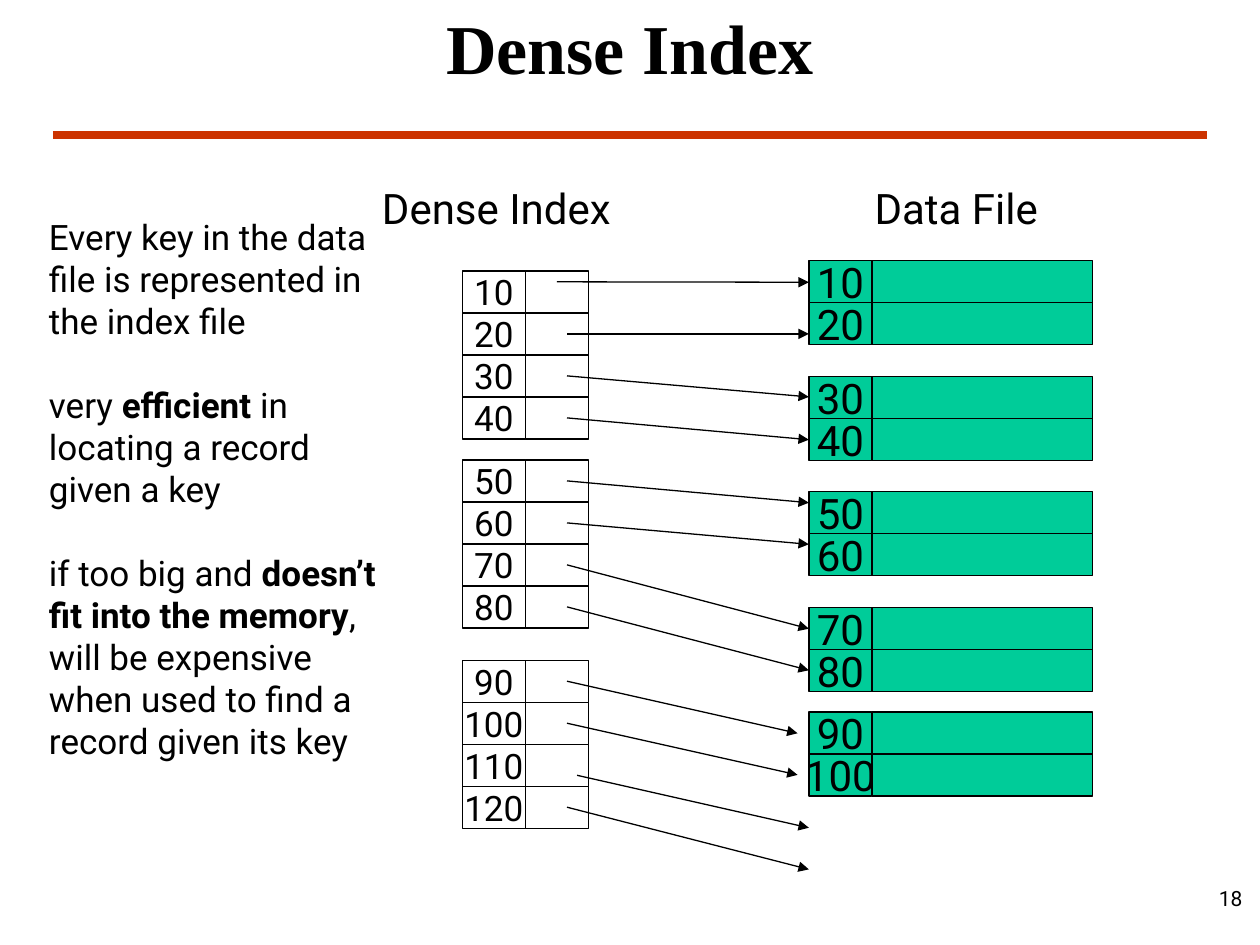
"""Build the Dense Index slide: index blocks pointing into a data file."""
from pptx import Presentation
from pptx.dml.color import RGBColor
from pptx.enum.shapes import MSO_CONNECTOR as Connector, MSO_SHAPE as Shape
from pptx.enum.text import MSO_ANCHOR as Anchor, PP_ALIGN as Align
from pptx.oxml.ns import qn
from pptx.util import Inches, Pt
from lxml.etree import SubElement

BLACK = RGBColor(0x00, 0x00, 0x00)
WHITE = RGBColor(0xFF, 0xFF, 0xFF)
GREEN = RGBColor(0x00, 0xCC, 0x99)
RED = RGBColor(0xCC, 0x33, 0x00)
BODY_FONT, TITLE_FONT = "Roboto", "Times New Roman"

HEADINGS = [("Dense Index", 2.86, 2.16), ("Data File", 6.81, 1.56)]
INDEX_BLOCKS = [
    (2.15, [10, 20, 30, 40]),
    (3.65, [50, 60, 70, 80]),
    (5.24, [90, 100, 110, 120]),
]
DATA_BLOCKS = [
    (2.07, [10, 20]),
    (2.99, [30, 40]),
    (3.9, [50, 60]),
    (4.82, [70, 80]),
    (5.65, [90, 100]),
]
POINTER_ENDS = {
    10: (6.42, 2.24), 20: (6.42, 2.65), 30: (6.42, 3.15), 40: (6.42, 3.49),
    50: (6.42, 3.99), 60: (6.42, 4.32), 70: (6.42, 4.99), 80: (6.42, 5.32),
    90: (6.33, 5.82), 100: (6.33, 6.15), 110: (6.42, 6.57), 120: (6.42, 6.9),
}
START_SHIFTS = {10: -0.08, 110: 0.08}
REMARKS = [
    [("Every key in the data file is represented in the index file", False)],
    [("very ", False), ("efficient", True),
     (" in locating a record given a key", False)],
    [("if too big and ", False), ("doesn’t fit into the memory", True),
     (", will be expensive when used to find a record given its key", False)],
]

ROW_HEIGHT = 1 / 3
KEY_WIDTH = 0.5
INDEX_LEFT, POINTER_WIDTH = 3.67, 0.5
DATA_LEFT, RECORD_WIDTH = 6.42, 1.75
POINTER_START = 4.5


def set_font(font, size, name=BODY_FONT, bold=False):
    font.size, font.name, font.bold = Pt(size), name, bold
    font.color.rgb = BLACK


def write(shape, text, size, align=Align.CENTER, anchor=Anchor.MIDDLE,
          wrap=False, name=BODY_FONT, bold=False):
    frame = shape.text_frame
    frame.word_wrap, frame.vertical_anchor = wrap, anchor
    paragraph = frame.paragraphs[0]
    paragraph.text, paragraph.alignment = text, align
    set_font(paragraph.font, size, name, bold)


def add_box(slide, left, top, width, height):
    return slide.shapes.add_textbox(
        Inches(left), Inches(top), Inches(width), Inches(height))


def add_cell(slide, left, top, width, color):
    cell = slide.shapes.add_shape(
        Shape.RECTANGLE, Inches(left), Inches(top), Inches(width), Inches(ROW_HEIGHT))
    cell.shadow.inherit = False
    cell.fill.solid()
    cell.fill.fore_color.rgb = color
    cell.line.color.rgb = BLACK
    cell.line.width = Pt(0.75)
    return cell


def add_blocks(slide, blocks, left, value_width, color, size):
    for block_top, keys in blocks:
        for row, key in enumerate(keys):
            top = block_top + row * ROW_HEIGHT
            write(add_cell(slide, left, top, KEY_WIDTH, color), str(key), size)
            add_cell(slide, left + KEY_WIDTH, top, value_width, color)


def add_line(slide, start, end, color, width):
    line = slide.shapes.add_connector(
        Connector.STRAIGHT, *(Inches(value) for value in (*start, *end)))
    line.line.color.rgb = color
    line.line.width = Pt(width)
    SubElement(line._element.spPr, qn("a:effectLst"))
    return line


def add_pointers(slide):
    for block_top, keys in INDEX_BLOCKS:
        for row, key in enumerate(keys):
            shift = START_SHIFTS.get(key, 0)
            start = (POINTER_START + shift, block_top + (row + 0.5) * ROW_HEIGHT + shift)
            pointer = add_line(slide, start, POINTER_ENDS[key], BLACK, 0.75)
            SubElement(pointer.line._get_or_add_ln(), qn("a:tailEnd"), type="triangle")


def add_remarks(slide):
    frame = add_box(slide, 0.29, 1.66, 2.92, 4.77).text_frame
    frame.word_wrap = True
    for number, remark in enumerate(REMARKS):
        paragraph = frame.add_paragraph() if number else frame.paragraphs[0]
        if number:
            paragraph.space_before = Pt(24)
        set_font(paragraph.font, 20)
        for text, bold in remark:
            run = paragraph.add_run()
            run.text = text
            if bold:
                run.font.bold = True


def main():
    deck = Presentation()
    deck.slide_width, deck.slide_height = Inches(10), Inches(7.5)
    slide = deck.slides.add_slide(deck.slide_layouts[6])
    add_line(slide, (0.42, 1.07), (9.58, 1.07), RED, 4.5)
    write(add_box(slide, 7.63, 6.98, 2.33, 0.52), "18", 12,
          Align.RIGHT, Anchor.TOP, wrap=True)
    for heading, left, width in HEADINGS:
        write(add_box(slide, left, 1.4, width, 0.5), heading, 24)
    add_blocks(slide, INDEX_BLOCKS, INDEX_LEFT, POINTER_WIDTH, WHITE, 20)
    add_blocks(slide, DATA_BLOCKS, DATA_LEFT, RECORD_WIDTH, GREEN, 24)
    add_pointers(slide)
    add_remarks(slide)
    write(add_box(slide, 0, 0, 10, 0.75), "Dense Index", 40,
          anchor=Anchor.BOTTOM, wrap=True, name=TITLE_FONT, bold=True)
    deck.save("out.pptx")


if __name__ == "__main__":
    main()
